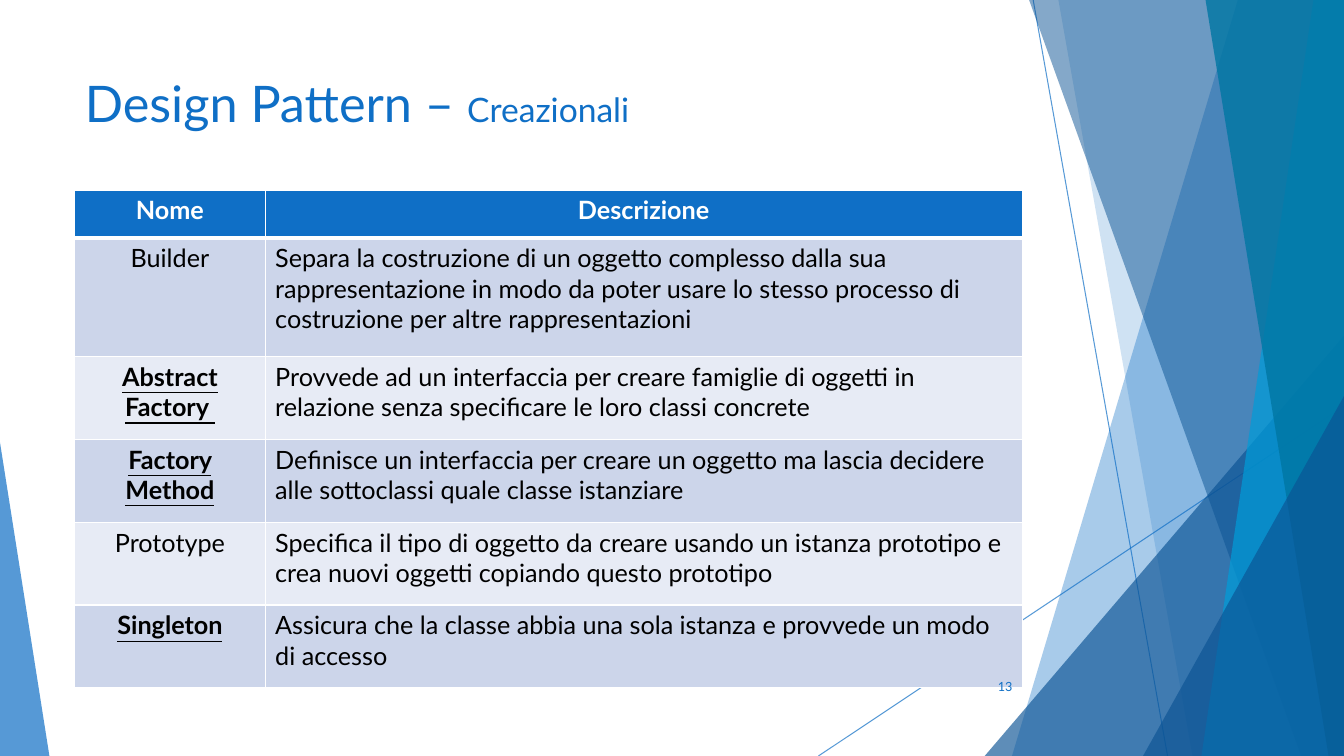
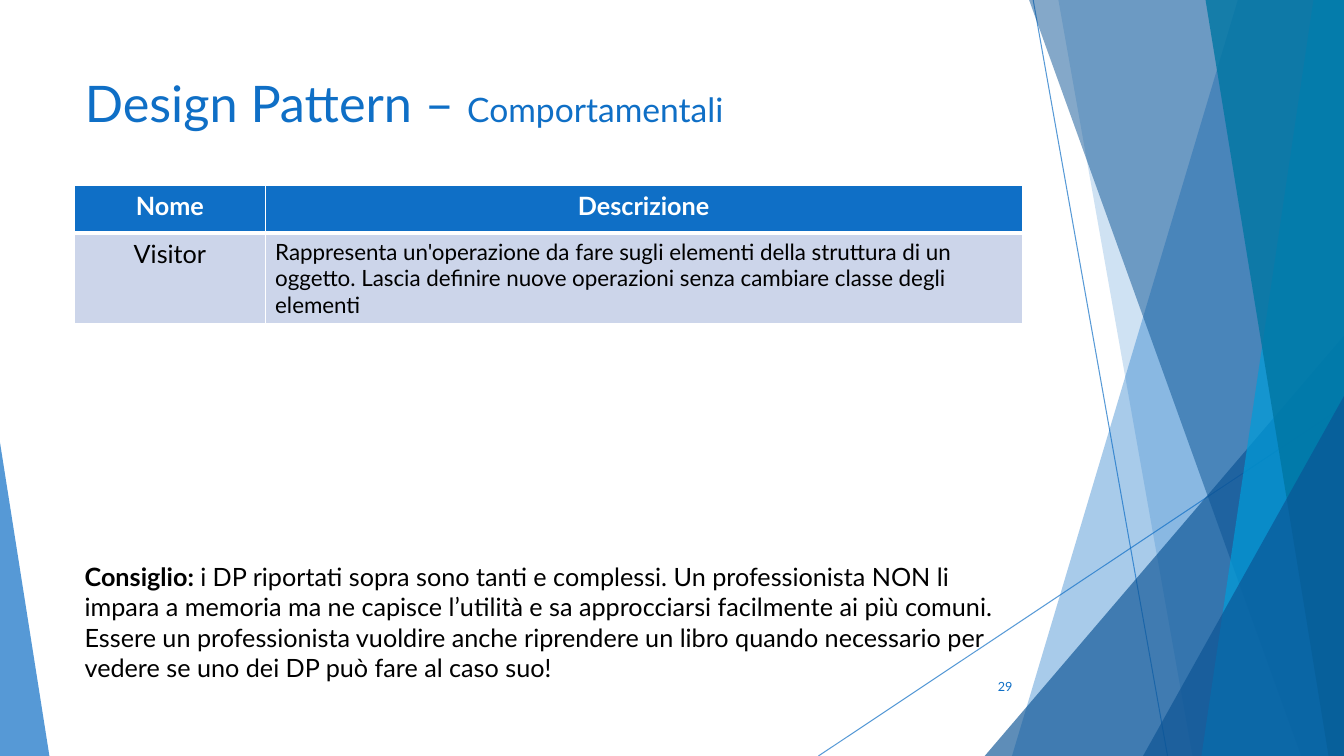
"""Build two Italian slides on design patterns, sharing one faceted layout."""
from dataclasses import dataclass
from typing import Any

from lxml import etree
from pptx import Presentation
from pptx.dml.color import RGBColor
from pptx.enum.shapes import MSO_CONNECTOR, MSO_SHAPE
from pptx.enum.text import MSO_ANCHOR, MSO_AUTO_SIZE, PP_ALIGN
from pptx.oxml.ns import qn
from pptx.util import Pt

STRAIGHT = MSO_CONNECTOR.STRAIGHT
TRIANGLE = MSO_SHAPE.ISOSCELES_TRIANGLE
TOP, MIDDLE = MSO_ANCHOR.TOP, MSO_ANCHOR.MIDDLE
LEFT, CENTER, RIGHT = PP_ALIGN.LEFT, PP_ALIGN.CENTER, PP_ALIGN.RIGHT
NO_AUTOFIT = MSO_AUTO_SIZE.NONE

COLORS = {
    "blue": "0F6FC6",
    "navy": "0B5394",
    "sky": "009DD9",
    "teal": "0076A3",
    "white": "FFFFFF",
    "black": "000000",
    "row_dark": "CCD5EA",
    "row_light": "E7EBF5",
}
FONT = "Lato"
TITLE_SIZE, FAMILY_SIZE, BODY_SIZE, NUMBER_SIZE = 36, 24, 18, 9
TITLE_ONLY = 5

WIDTH, HEIGHT = 960, 540
MARGIN, CONTENT_WIDTH = 53.4, 676.8
NAME_WIDTH = 136
COLUMN_WIDTHS = (NAME_WIDTH, CONTENT_WIDTH - NAME_WIDTH)
HEADINGS = ("Nome", "Descrizione")
HEADER_HEIGHT, ROW_HEIGHT = 34.3, 59.2
THIN_BORDER, HEADER_BORDER = 1, 3
RAY_WIDTH, RAY_OPACITY = 0.75, 70


@dataclass(frozen=True)
class Box:
    """A rectangle on the slide, in points."""
    left: float
    top: float
    width: float
    height: float


@dataclass(frozen=True)
class Ray:
    """A thin line across the slide."""
    start: tuple[float, float]
    end: tuple[float, float]


@dataclass(frozen=True)
class Band:
    """A facet from a slanted left edge to the right edge of the slide."""
    top_x: float
    bottom_x: float
    color: str
    opacity: int


@dataclass(frozen=True)
class Corner:
    """A triangle standing on the bottom edge, its apex at 0 (left) or 1 (right)."""
    left: float
    top: float
    width: float
    apex: int
    color: str
    opacity: int


@dataclass(frozen=True)
class Run:
    """A piece of text with its format."""
    text: str
    size: float = BODY_SIZE
    color: str = "black"
    bold: bool = False
    underline: bool = False


@dataclass(frozen=True)
class Pattern:
    """A table row for one design pattern; key patterns stand out."""
    name: str
    description: str
    height: float = ROW_HEIGHT
    key: bool = False
    size: float = BODY_SIZE


@dataclass(frozen=True)
class Page:
    """The content of one slide."""
    family: str
    number: str
    table_top: float
    patterns: tuple[Pattern, ...]
    advice: tuple[Run, ...] = ()


TITLE_BOX = Box(MARGIN, 48, CONTENT_WIDTH, 104)
ADVICE_BOX = Box(MARGIN, 397.5, CONTENT_WIDTH, 94.5)
NUMBER_BOX = Box(676.2, 476, 54, 28.8)

RAYS = (Ray((738, 0), (834, HEIGHT)), Ray((WIDTH, 290), (584.6, HEIGHT)))
FACETS = (
    Band(884.2, 722.9, "blue", 36),
    Band(756, 851.8, "blue", 20),
    Corner(703.4, 239.8, 256.6, 1, "navy", 66),
    Band(735.1, 929.5, "navy", 50),
    Band(938.2, 858.2, "sky", 70),
    Band(861.1, 949, "teal", 80),
    Corner(816.5, 283, 143.5, 1, "navy", 66),
    Corner(0, 316.1, 35.3, 0, "blue", 70),
)
PAGES = (
    Page("Creazionali", "13", 135.7, (
        Pattern("Builder", "Separa la costruzione di un oggetto complesso dalla sua "
                "rappresentazione in modo da poter usare lo stesso processo di "
                "costruzione per altre rappresentazioni", height=84.6),
        Pattern("Abstract Factory ", "Provvede ad un interfaccia per creare famiglie di "
                "oggetti in relazione senza specificare le loro classi concrete", key=True),
        Pattern("Factory Method", "Definisce un interfaccia per creare un oggetto ma "
                "lascia decidere alle sottoclassi quale classe istanziare", key=True),
        Pattern("Prototype", "Specifica il tipo di oggetto da creare usando un istanza "
                "prototipo e crea nuovi oggetti copiando questo prototipo"),
        Pattern("Singleton", "Assicura che la classe abbia una sola istanza e provvede "
                "un modo di accesso", key=True),
    )),
    Page("Comportamentali", "29", 132.2, (
        Pattern("Visitor", "Rappresenta un'operazione da fare sugli elementi della "
                "struttura di un oggetto. Lascia definire nuove operazioni senza "
                "cambiare classe degli elementi", size=16),
    ), (
        Run("Consiglio: ", bold=True),
        Run("i DP riportati sopra sono tanti e complessi. Un professionista NON li "
            "impara a memoria ma ne capisce l’utilità e sa approcciarsi facilmente ai "
            "più comuni. Essere un professionista vuoldire anche riprendere un libro "
            "quando necessario per vedere se uno dei DP può fare al caso suo!"),
    )),
)


def rgb(name: str) -> RGBColor:
    """Return a palette colour."""
    return RGBColor.from_string(COLORS[name])


def apply(target: Any, values: dict[str, Any]) -> None:
    """Set each named attribute on the target."""
    for attribute, value in values.items():
        setattr(target, attribute, value)


def set_opacity(shape: Any, percent: int) -> None:
    """Make the shape's explicit colours translucent."""
    for color in shape.element.iter(qn("a:srgbClr")):
        etree.SubElement(color, qn("a:alpha"), val=str(percent * 1000))


def write_paragraph(paragraph: Any, runs: tuple[Run, ...], align: Any) -> None:
    """Add formatted runs to a paragraph."""
    paragraph.alignment = align
    for item in runs:
        run = paragraph.add_run()
        run.text = item.text
        run.font.color.rgb = rgb(item.color)
        apply(run.font, {"name": FONT, "size": Pt(item.size), "bold": item.bold,
                         "underline": item.underline})


def write_shape(shape: Any, box: Box, runs: tuple[Run, ...],
                align: Any = LEFT, anchor: Any = TOP) -> None:
    """Place a text shape and write one paragraph in it."""
    apply(shape, {"left": Pt(box.left), "top": Pt(box.top),
                  "width": Pt(box.width), "height": Pt(box.height)})
    frame = shape.text_frame
    apply(frame, {"word_wrap": True, "auto_size": NO_AUTOFIT, "vertical_anchor": anchor})
    write_paragraph(frame.paragraphs[0], runs, align)


def draw_ray(slide: Any, ray: Ray) -> None:
    """Draw one thin line."""
    ends = (Pt(value) for value in ray.start + ray.end)
    connector = slide.shapes.add_connector(STRAIGHT, *ends)
    connector.line.color.rgb = rgb("blue")
    connector.line.width = Pt(RAY_WIDTH)
    set_opacity(connector, RAY_OPACITY)
    etree.SubElement(connector.element.spPr, qn("a:effectLst"))


def add_band(slide: Any, band: Band) -> Any:
    """Outline a band down the right side of the slide."""
    builder = slide.shapes.build_freeform(Pt(band.top_x), 0)
    corners = ((WIDTH, 0), (WIDTH, HEIGHT), (band.bottom_x, HEIGHT))
    builder.add_line_segments([(Pt(x), Pt(y)) for x, y in corners], close=True)
    return builder.convert_to_shape()


def add_corner(slide: Any, corner: Corner) -> Any:
    """Outline a triangle on the bottom edge."""
    shape = slide.shapes.add_shape(TRIANGLE, Pt(corner.left), Pt(corner.top),
                                   Pt(corner.width), Pt(HEIGHT - corner.top))
    shape.adjustments[0] = corner.apex
    return shape


def draw_facet(slide: Any, facet: Band | Corner) -> None:
    """Draw one translucent facet."""
    add_outline = add_band if isinstance(facet, Band) else add_corner
    shape = add_outline(slide, facet)
    shape.shadow.inherit = False
    shape.fill.solid()
    shape.fill.fore_color.rgb = rgb(facet.color)
    shape.line.fill.background()
    set_opacity(shape, facet.opacity)


def decorate_layout(layout: Any, slide: Any) -> None:
    """Draw the facets on a slide and move them to its layout."""
    for placeholder in list(layout.placeholders)[1:]:
        layout.shapes.element.remove(placeholder.element)
    for ray in RAYS:
        draw_ray(slide, ray)
    for facet in FACETS:
        draw_facet(slide, facet)
    for shape in list(slide.shapes)[1:]:
        layout.shapes.element.append(shape.element)


def draw_borders(cell: Any, top: float, bottom: float) -> None:
    """Give a cell white borders; they must precede its fill."""
    properties = cell._tc.get_or_add_tcPr()
    widths = {"L": THIN_BORDER, "R": THIN_BORDER, "T": top, "B": bottom}
    for side, width in widths.items():
        border = etree.SubElement(properties, qn(f"a:ln{side}"), w=str(Pt(width)))
        fill = etree.SubElement(border, qn("a:solidFill"))
        etree.SubElement(fill, qn("a:srgbClr"), val=COLORS["white"])


def draw_row(table: Any, index: int, runs: tuple[Run, ...], aligns: tuple[Any, ...],
             fill: str) -> None:
    """Write and format one table row, with a thick line under the header."""
    top = HEADER_BORDER if index == 1 else THIN_BORDER
    bottom = HEADER_BORDER if index == 0 else THIN_BORDER
    for cell, run, align in zip(table.rows[index].cells, runs, aligns):
        write_paragraph(cell.text_frame.paragraphs[0], (run,), align)
        draw_borders(cell, top, bottom)
        cell.fill.solid()
        cell.fill.fore_color.rgb = rgb(fill)


def draw_table(slide: Any, page: Page) -> None:
    """Draw the table of patterns."""
    heights = [HEADER_HEIGHT] + [pattern.height for pattern in page.patterns]
    table = slide.shapes.add_table(
        len(heights), len(HEADINGS), Pt(MARGIN), Pt(page.table_top),
        Pt(CONTENT_WIDTH), Pt(sum(heights))).table
    for column, width in zip(table.columns, COLUMN_WIDTHS):
        column.width = Pt(width)
    for row, height in zip(table.rows, heights):
        row.height = Pt(height)
    headings = tuple(Run(text, color="white", bold=True) for text in HEADINGS)
    draw_row(table, 0, headings, (CENTER, CENTER), "blue")
    for index, pattern in enumerate(page.patterns, start=1):
        name = Run(pattern.name, bold=pattern.key, underline=pattern.key)
        description = Run(pattern.description, size=pattern.size)
        fill = "row_dark" if index % 2 else "row_light"
        draw_row(table, index, (name, description), (CENTER, LEFT), fill)


def draw_page(slide: Any, page: Page) -> None:
    """Fill one slide."""
    heading = (Run("Design Pattern – ", TITLE_SIZE, "blue"),
               Run(page.family, FAMILY_SIZE, "blue"))
    write_shape(slide.shapes.title, TITLE_BOX, heading)
    draw_table(slide, page)
    if page.advice:
        write_shape(slide.shapes.add_textbox(0, 0, 0, 0), ADVICE_BOX, page.advice)
    number = (Run(page.number, NUMBER_SIZE, "blue"),)
    write_shape(slide.shapes.add_textbox(0, 0, 0, 0), NUMBER_BOX, number, RIGHT, MIDDLE)


def main() -> None:
    """Build and save the presentation."""
    presentation = Presentation()
    apply(presentation, {"slide_width": Pt(WIDTH), "slide_height": Pt(HEIGHT)})
    layout = presentation.slide_layouts[TITLE_ONLY]
    slides = [presentation.slides.add_slide(layout) for _ in PAGES]
    decorate_layout(layout, slides[0])
    for slide, page in zip(slides, PAGES):
        draw_page(slide, page)
    presentation.save("out.pptx")


if __name__ == "__main__":
    main()
